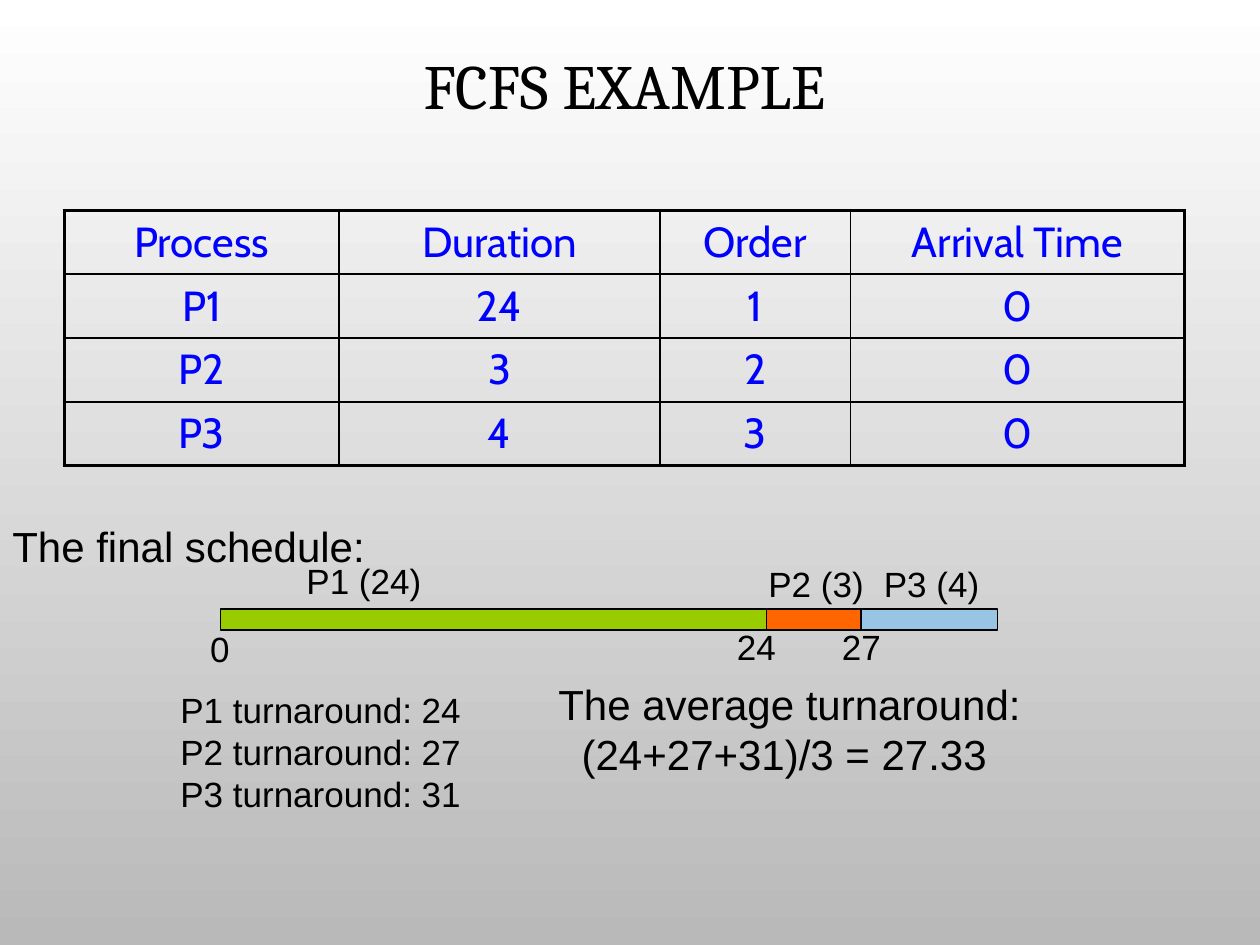
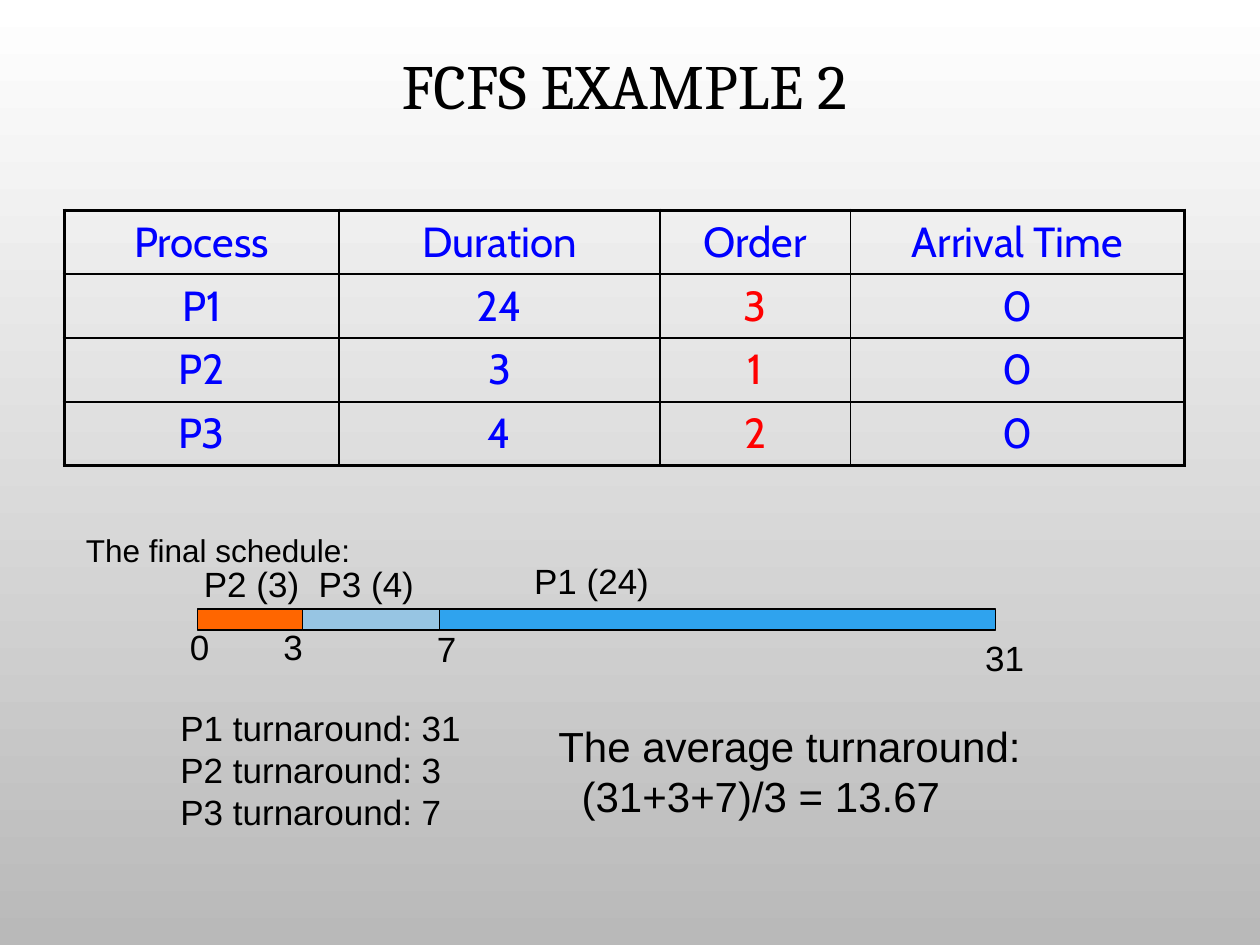
"""Build two slides that compare first-come first-served schedules."""
import pptx
import pptx.dml.color
import pptx.enum.shapes
import pptx.enum.text
import pptx.oxml
import pptx.oxml.ns
import pptx.util

RGBColor = pptx.dml.color.RGBColor
BLACK = RGBColor(0x00, 0x00, 0x00)
WHITE = RGBColor(0xFF, 0xFF, 0xFF)
GRAY = RGBColor(0xB9, 0xB9, 0xB9)
BLUE = RGBColor(0x00, 0x00, 0xFF)
RED = RGBColor(0xFF, 0x00, 0x00)
GREEN = RGBColor(0x99, 0xCC, 0x00)
ORANGE = RGBColor(0xFF, 0x66, 0x00)
PALE_BLUE = RGBColor(0x97, 0xC5, 0xE3)
SKY_BLUE = RGBColor(0x2F, 0xA3, 0xEE)

Pt = pptx.util.Pt
CENTER = pptx.enum.text.PP_ALIGN.CENTER
MIDDLE = pptx.enum.text.MSO_ANCHOR.MIDDLE
FIT_SHAPE = pptx.enum.text.MSO_AUTO_SIZE.SHAPE_TO_FIT_TEXT
RECTANGLE = pptx.enum.shapes.MSO_SHAPE.RECTANGLE

GRID_COLUMNS, GRID_ROWS = 120, 90
FONTS = {
    "title": {"name": "Cambria", "size": Pt(36)},
    "table": {"name": "Cabin", "size": Pt(24)},
    "large": {"name": "Arial", "size": Pt(24)},
    "label": {"name": "Arial", "size": Pt(20)},
    "small": {"name": "Arial", "size": Pt(18)},
}
TITLE_BOX = (6.12, 0, 106.68, 17.04)
TABLE_PLACE = (6.12, 20.04)
TABLE_COLUMNS = (26.16, 30.6, 18.12, 31.8)
TABLE_ROW = 6.08
HEADINGS = ("Process", "Duration", "Order", "Arrival Time")
DURATIONS = {"P1": 24, "P2": 3, "P3": 4}
BAR_WIDTHS = {"P1": 53, "P2": 10, "P3": 13}
LABEL_WIDTHS = {1: 4.32, 2: 6.12, 6: 11.52, 7: 13.32}
BAR_TOP, BAR_HEIGHT = 58, 2
LINE_HEIGHT = 5.16
SECOND_LINE_INDENT = Pt(13.33)

EXAMPLES = [
    {
        "title": "FCFS EXAMPLE",
        "orders": {"P1": 1, "P2": 2, "P3": 3},
        "order_color": BLUE,
        "caption": ("large", 0, 49, 36),
        "bar_start": 21,
        "bar_overlap": 1,
        "bars": {"P1": GREEN, "P2": ORANGE, "P3": PALE_BLUE},
        "bar_labels": {"P1": (28, 52.68), "P2": (72, 53), "P3": (83, 53)},
        "times": {0: (18.84, 59.16), 24: (69, 59), 27: (79, 59)},
        "turnarounds": (24, 27, 31),
        "turnaround_row": 65,
        "average": "27.33",
        "average_row": 64,
    },
    {
        "title": "FCFS EXAMPLE 2",
        "orders": {"P1": 3, "P2": 1, "P3": 2},
        "order_color": RED,
        "caption": ("small", 7, 50, 27.6),
        "bar_start": 18.84,
        "bar_overlap": 0,
        "bars": {"P2": ORANGE, "P3": PALE_BLUE, "P1": SKY_BLUE},
        "bar_labels": {"P2": (18.24, 53), "P3": (29.16, 53), "P1": (49.68, 52.68)},
        "times": {0: (16.92, 59), 3: (25.8, 59), 7: (40.44, 59.16), 31: (92.64, 60)},
        "turnarounds": (31, 3, 7),
        "turnaround_row": 66.72,
        "average": "13.67",
        "average_row": 68,
    },
]


def set_values(target, values):
    """Set each named value as an attribute of the target."""
    for name, value in values.items():
        setattr(target, name, value)


class Deck:
    """Hold the shared style and the current slide."""

    def __init__(self, presentation):
        """Measure one grid cell of the presentation."""
        self.presentation = presentation
        self.column = presentation.slide_width / GRID_COLUMNS
        self.row = presentation.slide_height / GRID_ROWS
        self.slide = None

    def place(self, left, top, width, height):
        """Turn grid columns and rows into slide lengths."""
        return (round(left * self.column), round(top * self.row),
                round(width * self.column), round(height * self.row))

    def add_slide(self, title):
        """Start a slide with the gradient background and a title."""
        self.slide = self.presentation.slides.add_slide(self.presentation.slide_layouts[6])
        fill = self.slide.background.fill
        fill.gradient()
        fill.gradient_angle = 270
        for stop, color, position in zip(fill.gradient_stops, (WHITE, GRAY), (0, 1)):
            stop.color.rgb = color
            stop.position = position
        box = self.slide.shapes.add_textbox(*self.place(*TITLE_BOX))
        set_values(box.text_frame, {"word_wrap": True, "vertical_anchor": MIDDLE})
        paragraph = box.text_frame.paragraphs[0]
        set_values(paragraph, {"alignment": CENTER, "line_spacing": 0.9})
        self.styled_run(paragraph, title, "title")

    def styled_run(self, paragraph, text, style, color=BLACK):
        """Add a run in one of the shared fonts."""
        run = paragraph.add_run()
        run.text = text
        set_values(run.font, FONTS[style])
        run.font.color.rgb = color

    def text(self, lines, style, left, top, width, height=LINE_HEIGHT):
        """Add an unwrapped text box with one paragraph per line."""
        box = self.slide.shapes.add_textbox(*self.place(left, top, width, height))
        frame = box.text_frame
        set_values(frame, {"word_wrap": False, "auto_size": FIT_SHAPE})
        for index, line in enumerate(lines):
            paragraph = frame.add_paragraph() if index else frame.paragraphs[0]
            self.styled_run(paragraph, line, style)
        return frame

    def label(self, text, left, top):
        """Add a short label of the schedule bar."""
        self.text([text], "label", left, top, LABEL_WIDTHS[len(text)])

    def bar(self, left, width, color):
        """Add one process segment of the schedule bar."""
        shape = self.slide.shapes.add_shape(
            RECTANGLE, *self.place(left, BAR_TOP, width, BAR_HEIGHT))
        shape.shadow.inherit = False
        shape.fill.solid()
        shape.fill.fore_color.rgb = color
        shape.line.color.rgb = BLACK
        shape.line.width = Pt(0.75)

    def border(self, cell, side, width):
        """Draw one black side of a table cell."""
        properties = cell._tc.get_or_add_tcPr()
        properties.append(pptx.oxml.parse_xml(
            f'<a:ln{side} {pptx.oxml.ns.nsdecls("a")} w="{Pt(width)}">'
            f'<a:solidFill><a:srgbClr val="{BLACK}"/></a:solidFill></a:ln{side}>'))

    def table(self, records, order_color):
        """Add the process table with a heavy outer frame."""
        last_row, last_column = len(records) - 1, len(TABLE_COLUMNS) - 1
        place = self.place(*TABLE_PLACE, sum(TABLE_COLUMNS), TABLE_ROW * len(records))
        table = self.slide.shapes.add_table(len(records), len(TABLE_COLUMNS), *place).table
        set_values(table, {"first_row": False, "horz_banding": False})
        for column, width in zip(table.columns, TABLE_COLUMNS):
            column.width = round(width * self.column)
        for row_index, record in enumerate(records):
            table.rows[row_index].height = round(TABLE_ROW * self.row)
            for column_index, value in enumerate(record):
                cell = table.cell(row_index, column_index)
                outer_sides = {"L": column_index == 0, "R": column_index == last_column,
                               "T": row_index == 0, "B": row_index == last_row}
                for side, outer in outer_sides.items():
                    self.border(cell, side, 2.25 if outer else 1)
                cell.fill.background()
                paragraph = cell.text_frame.paragraphs[0]
                paragraph.alignment = CENTER
                is_order = row_index > 0 and HEADINGS[column_index] == "Order"
                color = order_color if is_order else BLUE
                self.styled_run(paragraph, str(value), "table", color)

    def schedule(self, example):
        """Add the caption, the bar segments and their labels."""
        style, *caption_place = example["caption"]
        self.text(["The final schedule:"], style, *caption_place)
        left = example["bar_start"]
        for process, color in example["bars"].items():
            self.bar(left, BAR_WIDTHS[process], color)
            self.label(f"{process} ({DURATIONS[process]})", *example["bar_labels"][process])
            left += BAR_WIDTHS[process] - example["bar_overlap"]
        for time, position in example["times"].items():
            self.label(str(time), *position)

    def results(self, example):
        """Add the turnaround of each process and their average."""
        turnarounds = example["turnarounds"]
        lines = [f"{process} turnaround: {time}" for process, time in zip(DURATIONS, turnarounds)]
        self.text(lines, "label", 16, example["turnaround_row"], 29.28, 13.32)
        total = "+".join(map(str, turnarounds))
        frame = self.text(
            ["The average turnaround:", f"({total})/3 = {example['average']}"],
            "large", 52, example["average_row"], 47, 10.92)
        properties = frame.paragraphs[1]._p.get_or_add_pPr()
        properties.set("marL", str(SECOND_LINE_INDENT))


def main():
    """Build and save the presentation."""
    presentation = pptx.Presentation()
    set_values(presentation, {"slide_width": pptx.util.Inches(10),
                              "slide_height": pptx.util.Inches(7.5)})
    deck = Deck(presentation)
    for example in EXAMPLES:
        deck.add_slide(example["title"])
        records = [(process, duration, example["orders"][process], 0)
                   for process, duration in DURATIONS.items()]
        deck.table([HEADINGS, *records], example["order_color"])
        deck.schedule(example)
        deck.results(example)
    presentation.save("out.pptx")


if __name__ == "__main__":
    main()
